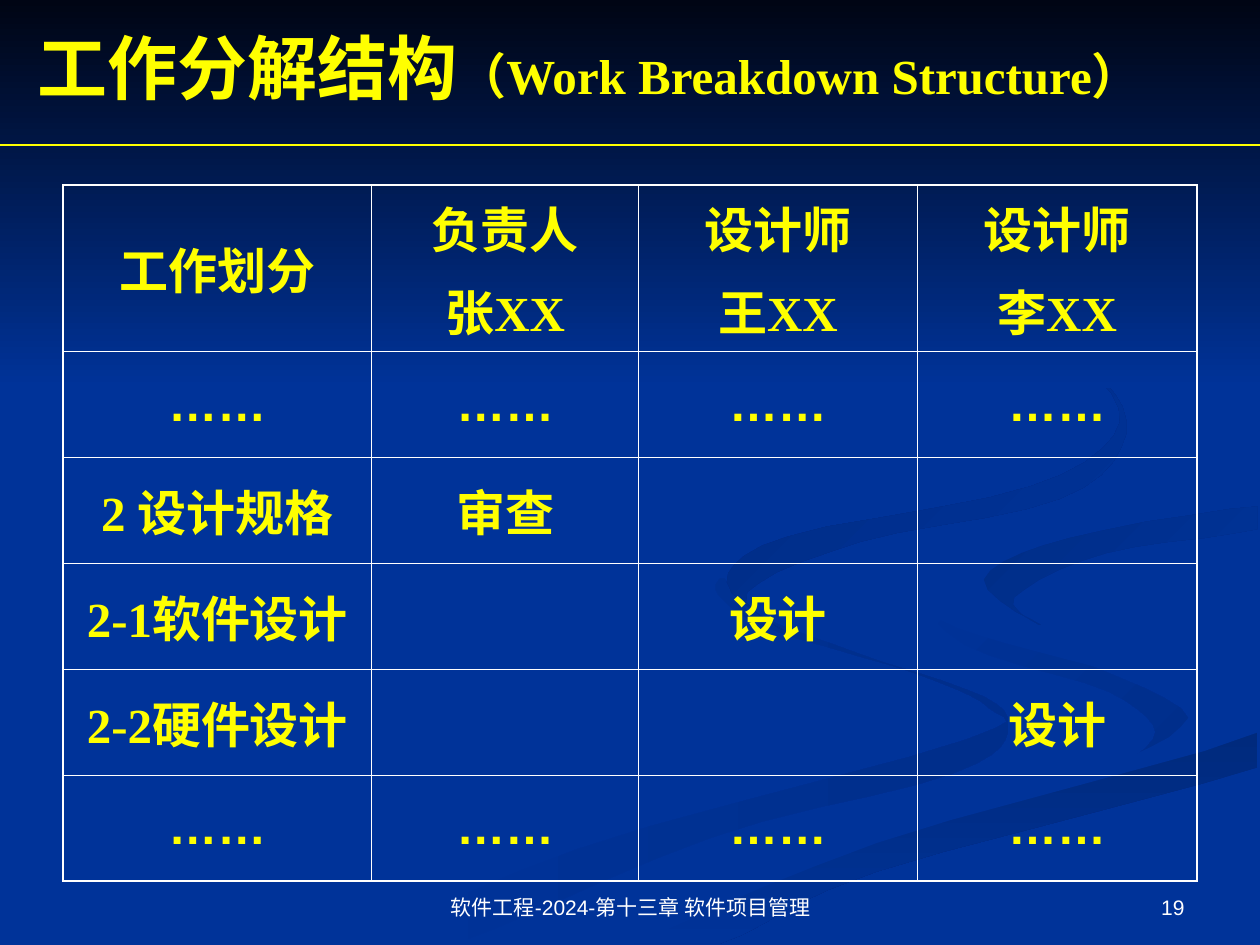
from lxml.etree import SubElement
from pptx import Presentation
from pptx.dml.color import RGBColor
from pptx.enum.shapes import MSO_CONNECTOR, MSO_SHAPE
from pptx.enum.text import MSO_ANCHOR, MSO_AUTO_SIZE, PP_ALIGN
from pptx.oxml.ns import qn
from pptx.util import Inches, Pt

COLORS = {
    "page": "003399", "night": "000514", "ribbon": "002E8B", "shade": "002A7D",
    "fold": "002D86", "curl": "002B82", "text": "FFFF00", "white": "FFFFFF",
}
SERIF, SANS = "Times New Roman", "Arial"

TITLE = [("工作分解结构", 40), ("（Work Breakdown Structure）", 28)]
DOTS = "……"
ROWS = [
    ["工作划分", "负责人\n张XX", "设计师\n王XX", "设计师\n李XX"],
    [DOTS] * 4,
    ["2 设计规格", "审查", "", ""],
    ["2-1软件设计", "", "设计", ""],
    ["2-2硬件设计", "", "", "设计"],
    [DOTS] * 4,
]
COLUMN_WIDTHS = [2.45, 2.12, 2.21, 2.22]
ROW_HEIGHTS = [1.18] + [0.84] * 5
FOOTERS = [  # text, left, width, alignment
    ("软件工程-2024-第十三章 软件项目管理", 3.42, 3.17, PP_ALIGN.CENTER),
    ("19", 7.17, 2.33, PP_ALIGN.RIGHT),
]

# Ribbons: first colour, last colour, clockwise angle, and the guide points
# of a smooth closed outline in hundredths of an inch
RIBBONS = [
    ("page", "ribbon", 0, [
        (575, 459), (594, 485), (682, 519), (781, 553), (800, 581),
        (756, 614), (564, 665), (361, 749), (300, 749), (458, 674),
        (767, 587), (785, 562), (728, 535), (611, 499), (570, 472)]),
    ("page", "ribbon", 45, [
        (724, 464), (758, 498), (870, 530), (943, 570), (894, 605),
        (917, 581), (880, 549), (766, 512)]),
    ("shade", "page", 90, [
        (503, 749), (571, 749), (695, 692), (998, 609), (998, 581),
        (764, 647), (630, 693)]),
    ("page", "page", 0, [
        (725, 464), (759, 498), (905, 540), (943, 570), (869, 611),
        (663, 668), (477, 749), (503, 749), (696, 669), (999, 581),
        (999, 538), (848, 503), (781, 463), (850, 427), (999, 402),
        (999, 387), (770, 427)]),
    ("fold", "page", 45, [
        (781, 460), (826, 496), (805, 474), (878, 439), (998, 420),
        (998, 402), (849, 427)]),
    ("curl", "page", 45, [
        (762, 233), (864, 291), (894, 344), (841, 396), (683, 430),
        (593, 470), (622, 500), (577, 462), (625, 426), (818, 386),
        (889, 335), (846, 279)]),
]
CURVE_STEPS = 5


def rgb(name):
    return RGBColor.from_string(COLORS[name])


def add_span(para, text, size, font, color, bold=False):
    span = para.add_run()
    span.text = text
    span.font.size, span.font.name, span.font.bold = Pt(size), font, bold
    span.font.color.rgb = rgb(color)


def smooth(points):
    """Closed Catmull-Rom curve kept inside the extent of its guide points."""
    limits = [(min(axis), max(axis)) for axis in zip(*points)]
    curve = []
    for i in range(len(points)):
        guides = [points[(i + k) % len(points)] for k in (-1, 0, 1, 2)]
        for step in range(CURVE_STEPS):
            t = step / CURVE_STEPS
            spot = []
            for (low, high), (a, b, c, d) in zip(limits, zip(*guides)):
                value = b + t / 2 * (c - a + t * (
                    2 * a - 5 * b + 4 * c - d + t * (3 * (b - c) + d - a)))
                spot.append(round(min(max(value, low), high)))
            curve.append(tuple(spot))
    return curve


def paint(shape, first, last, angle):
    shape.shadow.inherit = False
    shape.line.fill.background()
    if first == last:
        shape.fill.solid()
        shape.fill.fore_color.rgb = rgb(first)
        return
    shape.fill.gradient()
    shape.fill.gradient_angle = (360 - angle) % 360
    for stop, color in zip(shape.fill.gradient_stops, (first, last)):
        stop.color.rgb = rgb(color)


def add_ribbon(page, first, last, angle, points):
    curve = smooth(points)
    builder = page.shapes.build_freeform(*curve[0], scale=Inches(0.01))
    builder.add_line_segments(curve[1:], close=True)
    paint(builder.convert_to_shape(), first, last, angle)


def set_borders(cell, outer_sides):
    properties = cell._tc.get_or_add_tcPr()
    for index, side in enumerate(("lnL", "lnR", "lnT", "lnB")):
        width = 1.08 if side in outer_sides else 0.45
        line = properties.makeelement(qn(f"a:{side}"), {"w": str(Pt(width))})
        fill = SubElement(line, qn("a:solidFill"))
        SubElement(fill, qn("a:srgbClr"), val=COLORS["white"])
        properties.insert(index, line)


def add_work_table(page):
    frame = page.shapes.add_table(
        len(ROWS), len(COLUMN_WIDTHS), Inches(0.5), Inches(1.47),
        Inches(sum(COLUMN_WIDTHS)), Inches(sum(ROW_HEIGHTS)))
    table = frame.table
    table.first_row = table.horz_banding = False
    for column, width in zip(table.columns, COLUMN_WIDTHS):
        column.width = Inches(width)
    for r, (row, height) in enumerate(zip(ROWS, ROW_HEIGHTS)):
        table.rows[r].height = Inches(height)
        for c, text in enumerate(row):
            cell = table.cell(r, c)
            cell.fill.background()
            cell.vertical_anchor = MSO_ANCHOR.MIDDLE
            edges = {"lnL": c == 0, "lnR": c == len(row) - 1,
                     "lnT": r == 0, "lnB": r == len(ROWS) - 1}
            set_borders(cell, [side for side, outer in edges.items() if outer])
            if not text:
                continue
            for n, line in enumerate(text.split("\n")):
                paras = cell.text_frame
                para = paras.add_paragraph() if n else paras.paragraphs[0]
                para.alignment = PP_ALIGN.CENTER
                para.space_before = Pt(7 if n else 0)
                font = SANS if line == DOTS else SERIF
                add_span(para, line, 28, font, "text", True)


deck = Presentation()
deck.slide_width, deck.slide_height = Inches(10), Inches(7.5)
page = deck.slides.add_slide(deck.slide_layouts[5])

# Background with ribbons and a dark band at the top
page.background.fill.solid()
page.background.fill.fore_color.rgb = rgb("page")
for ribbon in RIBBONS:
    add_ribbon(page, *ribbon)
band = page.shapes.add_shape(
    MSO_SHAPE.RECTANGLE, 0, 0, deck.slide_width, Inches(3.08))
paint(band, "night", "page", 90)

add_work_table(page)

# Title, brought in front of the band
title = page.shapes.title
title.element.getparent().append(title.element)
title.left, title.top = Inches(0.2), Inches(0.14)
title.width, title.height = Inches(9), Inches(0.77)
title.text_frame.auto_size = MSO_AUTO_SIZE.NONE
title.text_frame.vertical_anchor = MSO_ANCHOR.MIDDLE
heading = title.text_frame.paragraphs[0]
heading.alignment = PP_ALIGN.LEFT
for text, size in TITLE:
    add_span(heading, text, size, SERIF, "text", True)

# Rule under the title
rule = page.shapes.add_connector(
    MSO_CONNECTOR.STRAIGHT, 0, Inches(1.15), Inches(10), Inches(1.15))
rule.line.color.rgb = rgb("text")
rule.line.width = Pt(0.75)
SubElement(rule.element.spPr, qn("a:effectLst"))

# Footer and page number
for text, left, width, alignment in FOOTERS:
    box = page.shapes.add_textbox(
        Inches(left), Inches(6.83), Inches(width), Inches(0.52))
    box.text_frame.word_wrap = True
    box.text_frame.vertical_anchor = MSO_ANCHOR.BOTTOM
    para = box.text_frame.paragraphs[0]
    para.alignment = alignment
    add_span(para, text, 12, SANS, "white")

deck.save("out.pptx")
